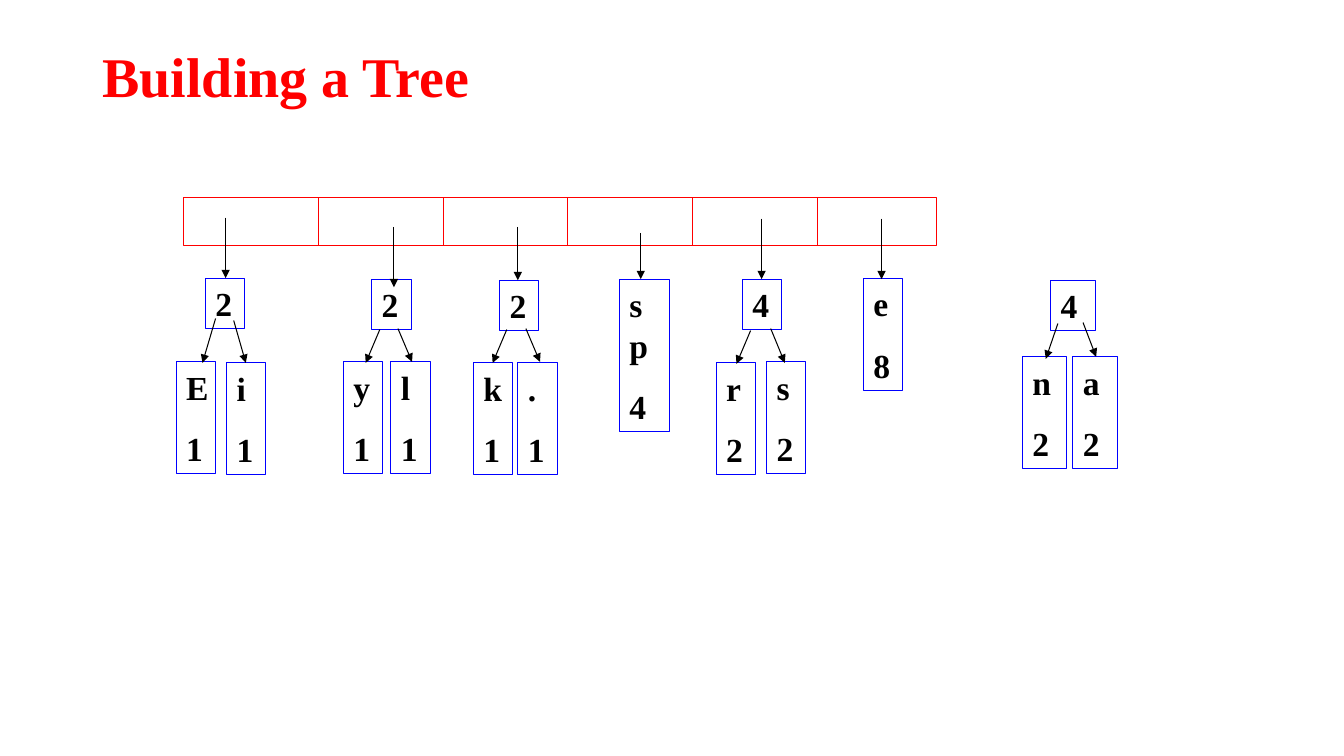
from lxml.etree import SubElement
from pptx import Presentation
from pptx.dml.color import RGBColor
from pptx.enum.shapes import MSO_CONNECTOR, MSO_SHAPE
from pptx.enum.text import MSO_ANCHOR, MSO_AUTO_SIZE, PP_ALIGN
from pptx.oxml.ns import qn
from pptx.util import Inches, Pt

# Content
TITLE = "Building a Tree"

# Queue: left, top, width, height, then its dividers and pointers (x, from y, to y)
QUEUE = (1.82, 1.96, 7.48, 0.48)
FIRST_DIVIDER, DIVIDER_GAP, DIVIDER_COUNT = 3.16, 1.2375, 5
POINTERS = [
    (2.24, 2.16, 2.76), (3.91, 2.25, 2.85), (5.14, 2.25, 2.78),
    (6.36, 2.31, 2.77), (7.56, 2.17, 2.77), (8.75, 2.17, 2.77),
]

# Trees: node width, root, two leaves as (lines, left, top), and
# a branch to each leaf as (from x, from y, to x, to y)
TREES = [
    (0.39, (["2"], 2.04, 2.76),
     [(["E", "1"], 1.75, 3.59), (["i", "1"], 2.25, 3.6)],
     [(2.14, 3.16, 2.01, 3.6), (2.32, 3.18, 2.44, 3.6)]),
    (0.39, (["2"], 3.69, 2.77),
     [(["y", "1"], 3.41, 3.59), (["l", "1"], 3.88, 3.59)],
     [(3.77, 3.27, 3.63, 3.6), (3.95, 3.26, 4.09, 3.59)]),
    (0.39, (["2"], 4.96, 2.78),
     [(["k", "1"], 4.7, 3.6), ([".", "1"], 5.14, 3.6)],
     [(5.03, 3.27, 4.89, 3.6), (5.22, 3.26, 5.36, 3.59)]),
    (0.5, (["sp", "4"], 6.15, 2.77), [], []),
    (0.39, (["4"], 7.37, 2.77),
     [(["r", "2"], 7.11, 3.6), (["s", "2"], 7.61, 3.59)],
     [(7.45, 3.28, 7.31, 3.61), (7.65, 3.26, 7.79, 3.6)]),
    (0.39, (["e", "8"], 8.57, 2.76), [], []),
    (0.44, (["4"], 10.43, 2.78),
     [(["n", "2"], 10.15, 3.54), (["a", "2"], 10.65, 3.54)],
     [(10.5, 3.21, 10.38, 3.56), (10.75, 3.2, 10.88, 3.54)]),
]

# Style
FONT = "Times New Roman"
RED = RGBColor(0xFF, 0x00, 0x00)
BLUE = RGBColor(0x00, 0x00, 0xFF)
BLACK = RGBColor(0x00, 0x00, 0x00)
WHITE = RGBColor(0xFF, 0xFF, 0xFF)
LINE_WIDTH = Pt(0.75)


def style_text(paragraph, size, color):
    paragraph.alignment = PP_ALIGN.LEFT
    font = paragraph.font
    font.name, font.size, font.bold = FONT, Pt(size), True
    font.color.rgb = color


def add_box(slide, left, top, width, height, color):
    box = slide.shapes.add_shape(
        MSO_SHAPE.RECTANGLE, *map(Inches, (left, top, width, height)))
    box.shadow.inherit = False
    box.fill.background()
    box.line.color.rgb = color
    box.line.width = LINE_WIDTH
    return box


def add_node(slide, lines, left, top, width):
    # A label of two letters wraps onto one more line
    height = 0.5 + 0.61 * (len(lines) - 1) + 0.4 * (len(lines[0]) - 1)
    frame = add_box(slide, left, top, width, height, BLUE).text_frame
    frame.word_wrap = True
    frame.auto_size = MSO_AUTO_SIZE.SHAPE_TO_FIT_TEXT
    frame.vertical_anchor = MSO_ANCHOR.TOP
    for index, line in enumerate(lines):
        paragraph = frame.add_paragraph() if index else frame.paragraphs[0]
        paragraph.text = line
        if index:
            paragraph.space_before = Pt(15)
        style_text(paragraph, 24, BLACK)


def add_line(slide, x1, y1, x2, y2, color=BLACK, arrow=True):
    line = slide.shapes.add_connector(
        MSO_CONNECTOR.STRAIGHT, *map(Inches, (x1, y1, x2, y2)))
    line.line.color.rgb = color
    line.line.width = LINE_WIDTH
    if arrow:
        SubElement(line.line._get_or_add_ln(), qn("a:tailEnd"), type="triangle")
    SubElement(line._element.spPr, qn("a:effectLst"))


def main():
    prs = Presentation()
    prs.slide_width, prs.slide_height = Inches(13.34), Inches(7.5)
    slide = prs.slides.add_slide(prs.slide_layouts[6])

    # Title
    title = slide.shapes.add_textbox(*map(Inches, (0.92, 0.4, 11.5, 0.77))).text_frame
    title.word_wrap = True
    title.vertical_anchor = MSO_ANCHOR.MIDDLE
    heading = title.paragraphs[0]
    heading.text = TITLE
    heading.line_spacing = 0.9
    style_text(heading, 40, RED)

    # Queue with its cells
    queue = add_box(slide, *QUEUE, RED)
    queue.fill.solid()
    queue.fill.fore_color.rgb = WHITE
    top, bottom = QUEUE[1], QUEUE[1] + QUEUE[3]
    for index in range(DIVIDER_COUNT):
        x = FIRST_DIVIDER + index * DIVIDER_GAP
        add_line(slide, x, top, x, bottom, RED, arrow=False)

    # Trees
    for width, root, leaves, branches in TREES:
        for node in [root, *leaves]:
            add_node(slide, *node, width)
        for branch in branches:
            add_line(slide, *branch)

    # Pointers from the queue to the trees
    for x, start, end in POINTERS:
        add_line(slide, x, start, x, end)

    prs.save("out.pptx")


if __name__ == "__main__":
    main()
